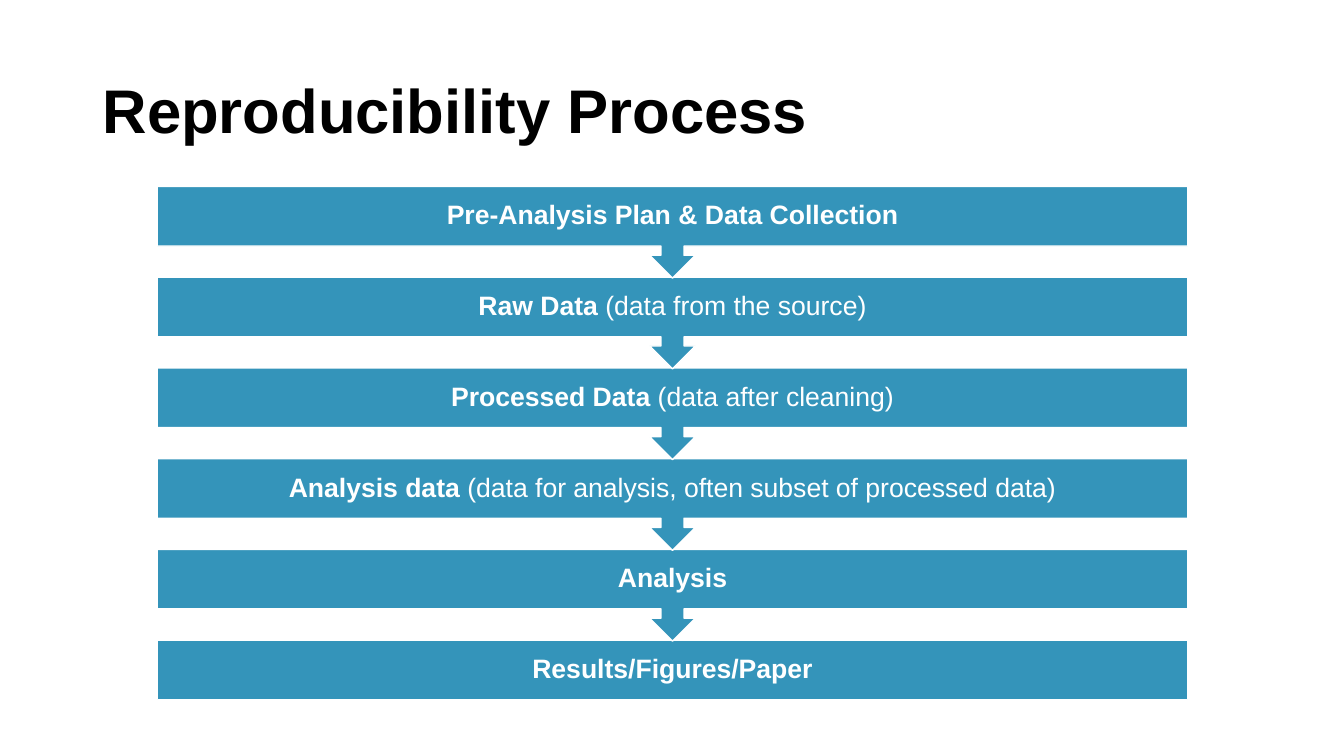
from pptx import Presentation
from pptx.dml.color import RGBColor
from pptx.enum.shapes import MSO_SHAPE
from pptx.enum.text import MSO_ANCHOR, PP_ALIGN
from pptx.util import Inches, Pt

RECTANGLE = MSO_SHAPE.RECTANGLE
ARROW_CALLOUT = MSO_SHAPE.DOWN_ARROW_CALLOUT
MIDDLE = MSO_ANCHOR.MIDDLE
LEFT, CENTER = PP_ALIGN.LEFT, PP_ALIGN.CENTER

BLACK, WHITE, BLUE = "000000", "FFFFFF", "3494BA"

# Process rows, in inches
ROW_LEFT, ROW_TOP, ROW_WIDTH = 1.56, 1.85, 10.22
ROW_PITCH, CALLOUT_HEIGHT, BAR_HEIGHT = 0.9, 0.91, 0.59

# Each step: bold name, plain explanation
STEPS = [
    ("Pre-Analysis Plan & Data Collection", ""),
    ("Raw Data", " (data from the source)"),
    ("Processed Data", " (data after cleaning)"),
    ("Analysis data", " (data for analysis, often subset of processed data)"),
    ("Analysis", ""),
    ("Results/Figures/Paper", ""),
]


def color(hex_string):
    return RGBColor.from_string(hex_string)


def write(shape, runs, size, text_color, alignment):
    frame = shape.text_frame
    frame.word_wrap = True
    frame.vertical_anchor = MIDDLE
    paragraph = frame.paragraphs[0]
    paragraph.alignment = alignment
    paragraph.line_spacing = 0.9
    for text, bold in runs:
        run = paragraph.add_run()
        run.text = text
        run.font.name = "Arial"
        run.font.size = Pt(size)
        run.font.bold = bold
        run.font.color.rgb = color(text_color)


presentation = Presentation()
presentation.slide_width = Inches(13.33)
presentation.slide_height = Inches(7.5)
slide = presentation.slides.add_slide(presentation.slide_layouts[6])

# Title
title = slide.shapes.add_textbox(Inches(0.92), Inches(0.4), Inches(11.5), Inches(1.45))
write(title, [("Reproducibility Process", True)], 44, BLACK, LEFT)

# Steps, from the last up, so that each arrow tip lies over the bar below it
last = len(STEPS) - 1
for row in range(last, -1, -1):
    name, explanation = STEPS[row]
    kind, height = (RECTANGLE, BAR_HEIGHT) if row == last else (ARROW_CALLOUT, CALLOUT_HEIGHT)
    step = slide.shapes.add_shape(
        kind, Inches(ROW_LEFT), Inches(ROW_TOP + row * ROW_PITCH),
        Inches(ROW_WIDTH), Inches(height))
    step.shadow.inherit = False
    step.fill.solid()
    step.fill.fore_color.rgb = color(BLUE)
    step.line.color.rgb = color(WHITE)
    step.line.width = Pt(1)
    runs = [(name, True)]
    if explanation:
        runs.append((explanation, False))
    write(step, runs, 19, WHITE, CENTER)

presentation.save("out.pptx")
